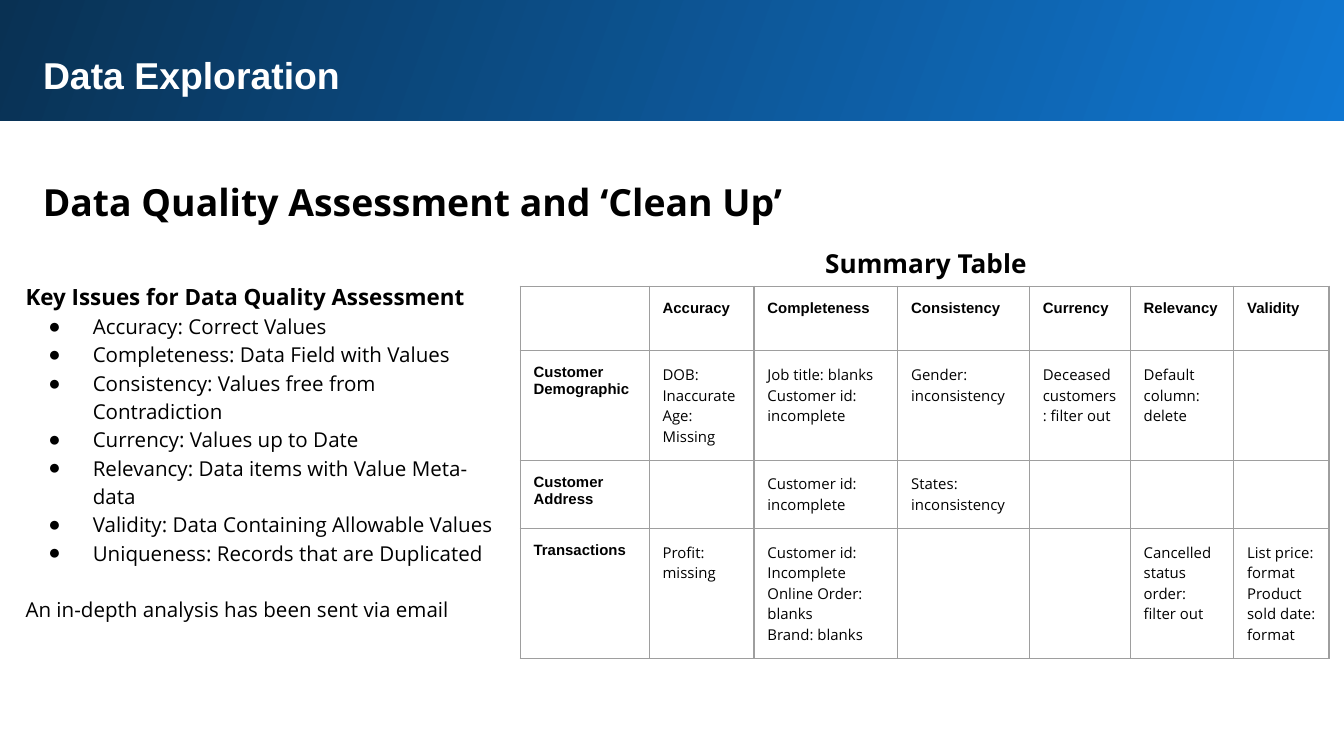
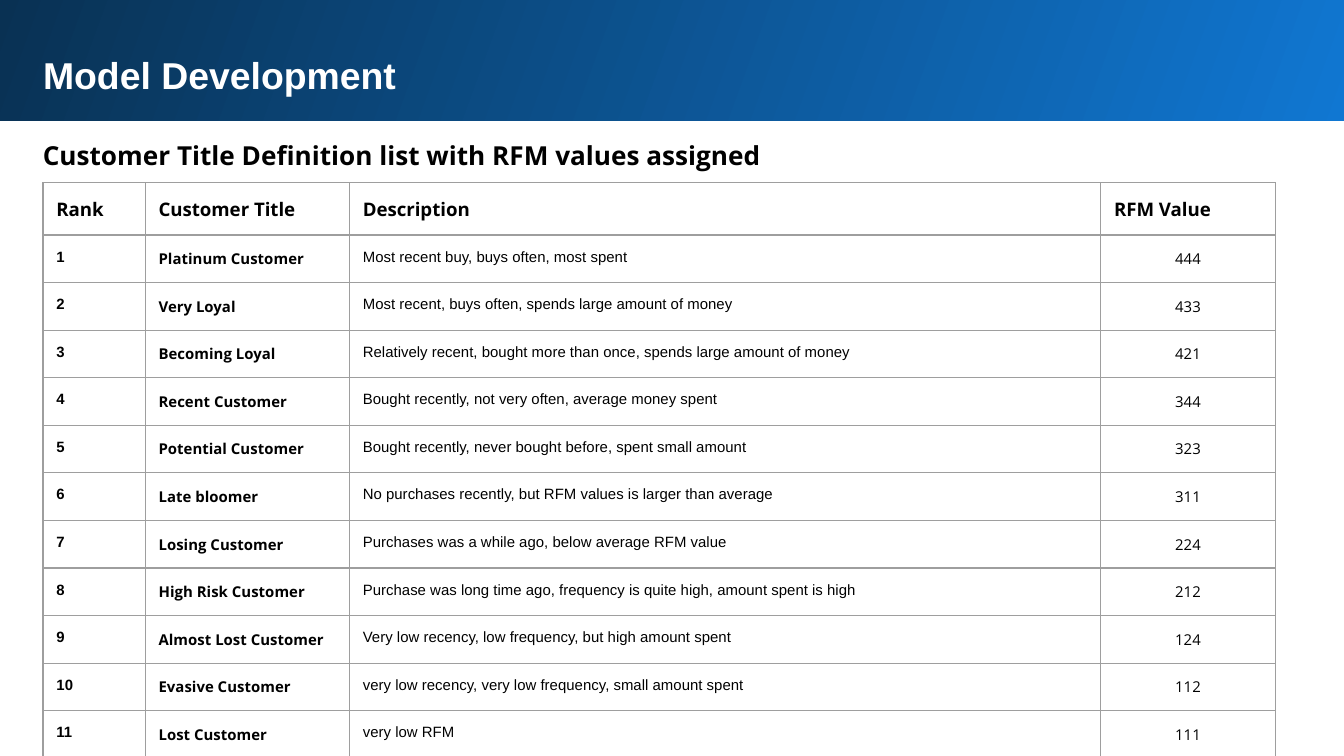
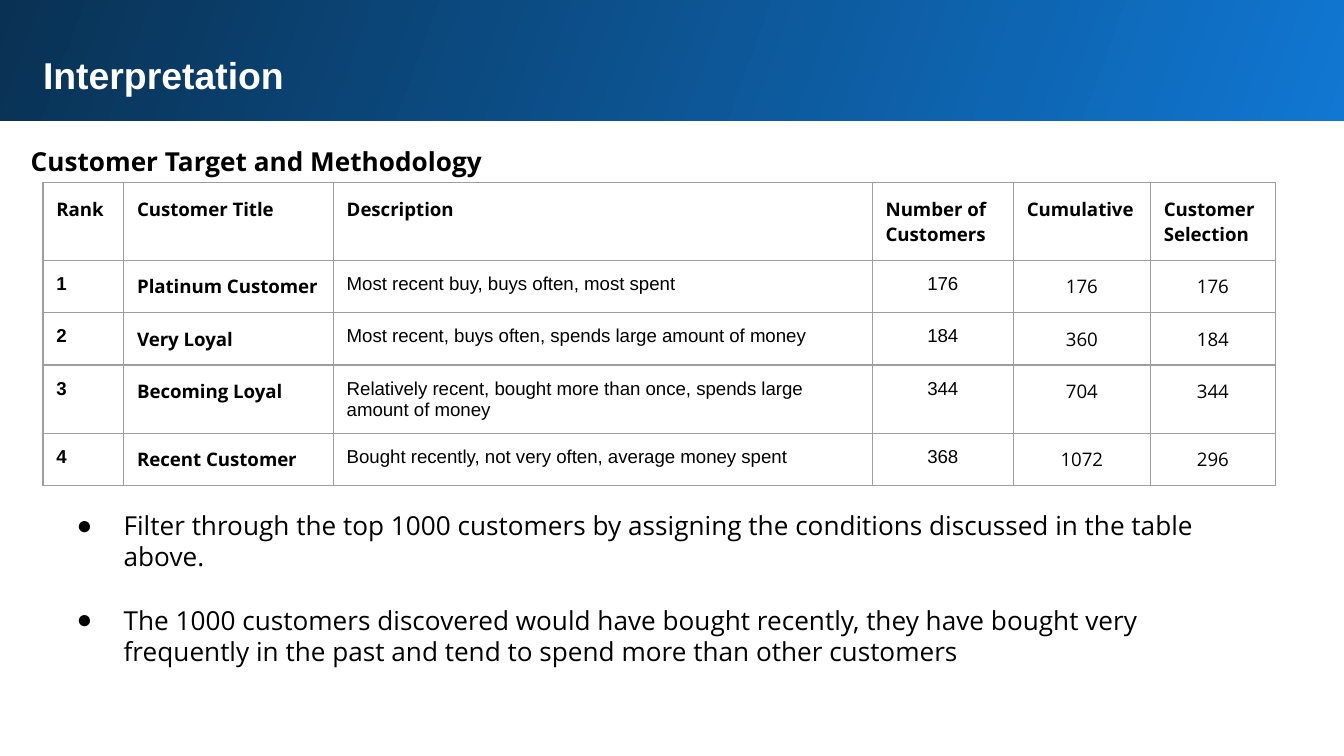
from lxml import etree
from pptx import Presentation
from pptx import util as u
from pptx.dml.color import RGBColor
from pptx.enum import shapes, text
from pptx.oxml import ns

COLORS = {"light": "1077D2", "dark": "093153", "white": "FFFFFF", "black": "000000", "grid": "9E9E9E"}
SANS, OPEN = "Arial", "Open Sans"
CENTER = text.PP_ALIGN.CENTER

ISSUES_HEAD = "Key Issues for Data Quality Assessment"
ISSUES = [
    "Accuracy: Correct Values",
    "Completeness: Data Field with Values",
    "Consistency: Values free from Contradiction",
    "Currency: Values up to Date",
    "Relevancy: Data items with Value Meta-data",
    "Validity: Data Containing Allowable Values",
    "Uniqueness: Records that are Duplicated",
]
ISSUES_NOTE = "An in-depth analysis has been sent via email"
SUMMARY = [
    ("", "Accuracy", "Completeness", "Consistency", "Currency", "Relevancy", "Validity"),
    ("Customer Demographic", "DOB: Inaccurate\nAge:\nMissing", "Job title: blanks\nCustomer id:\nincomplete",
     "Gender: inconsistency", "Deceased customers: filter out", "Default column: delete", ""),
    ("Customer Address", "", "Customer id:\nincomplete", "States:\ninconsistency", "", "", ""),
    ("Transactions", "Profit:\nmissing", "Customer id:\nIncomplete\nOnline Order:\nblanks\nBrand: blanks", "", "",
     "Cancelled status order: filter out", "List price: format\nProduct sold date: format"),
]
SEGMENTS = [
    ("Platinum Customer", "Most recent buy, buys often, most spent", 444),
    ("Very Loyal", "Most recent, buys often, spends large amount of money", 433),
    ("Becoming Loyal", "Relatively recent, bought more than once, spends large amount of money", 421),
    ("Recent Customer", "Bought recently, not very often, average money spent", 344),
    ("Potential Customer", "Bought recently, never bought before, spent small amount", 323),
    ("Late bloomer", "No purchases recently, but RFM values is larger than average", 311),
    ("Losing Customer", "Purchases was a while ago, below average RFM value", 224),
    ("High Risk Customer", "Purchase was long time ago, frequency is quite high, amount spent is high", 212),
    ("Almost Lost Customer", "Very low recency, low frequency, but high amount spent", 124),
    ("Evasive Customer", "very low recency, very low frequency, small amount spent", 112),
    ("Lost Customer", "very low RFM", 111),
]
SEGMENT_HEAD = ("Rank", "Customer Title", "Description")
TARGETS = [(176, 176, 176), (184, 360, 184), (344, 704, 344), (368, 1072, 296)]
TARGET_HEAD = ("Number of Customers", "Cumulative", "Customer Selection")
METHOD = [
    "Filter through the top 1000 customers by assigning the conditions discussed in the table above.",
    "The 1000 customers discovered would have bought recently, they have bought very frequently in the past "
    "and tend to spend more than other customers",
]


def rgb(name):
    return RGBColor.from_string(COLORS[name])


def write(tf, content, size=10, font=OPEN, color="black", bold=False, align=None, spacing=None,
          before=0, hang=None):
    for line in str(content).split("\n"):
        p = tf.paragraphs[0]
        if p.runs:
            p = tf.add_paragraph()
        p.alignment = align or text.PP_ALIGN.LEFT
        p.line_spacing = spacing
        p.space_before = u.Pt(before)
        set_bullet(p, hang)
        r = p.add_run()
        r.text = line
        r.font.size, r.font.name, r.font.bold = u.Pt(size), font, bold
        r.font.color.rgb = rgb(color)


def set_bullet(p, hang):
    pPr = p._p.get_or_add_pPr()
    pPr.set("marL", str(u.Inches(0.5) if hang else 0))
    pPr.set("indent", str(-u.Inches(hang) if hang else 0))
    if not hang:
        etree.SubElement(pPr, ns.qn("a:buNone"))
        return
    clr = etree.SubElement(pPr, ns.qn("a:buClr"))
    etree.SubElement(clr, ns.qn("a:srgbClr")).set("val", COLORS["black"])
    etree.SubElement(pPr, ns.qn("a:buFont")).set("typeface", SANS)
    etree.SubElement(pPr, ns.qn("a:buChar")).set("char", "●")


def prepare(sp, box, anchor=text.MSO_ANCHOR.TOP):
    sp.left, sp.top, sp.width, sp.height = map(u.Inches, box)
    tf = sp.text_frame
    tf.word_wrap, tf.auto_size, tf.vertical_anchor = True, text.MSO_AUTO_SIZE.NONE, anchor
    tf.margin_left = tf.margin_right = tf.margin_top = tf.margin_bottom = u.Inches(0.1)
    return tf


def add_text(s, content, box, anchor=text.MSO_ANCHOR.TOP, **fmt):
    write(prepare(s.shapes.add_textbox(0, 0, 0, 0), box, anchor), content, bold=True, **fmt)


def add_slide(prs, title, layout, title_height=0.51):
    s = prs.slides.add_slide(prs.slide_layouts.get_by_name(layout))
    band = s.shapes.add_shape(shapes.MSO_SHAPE.RECTANGLE, *map(u.Inches, (-0.02, -0.02, 10.05, 0.92)))
    band.shadow.inherit = False
    band.line.fill.background()
    band.fill.gradient()
    band.fill.gradient_angle = 160
    for stop, name in zip(band.fill.gradient_stops, ("light", "dark")):
        stop.color.rgb = rgb(name)
    s.shapes._spTree.insert(2, band._element)
    write(prepare(s.shapes.title, (0.22, 0.29, 9.37, title_height)), title,
          size=20, font=SANS, color="white", bold=True)
    return s


def set_borders(cell):
    tcPr = cell._tc.get_or_add_tcPr()
    for i, side in enumerate(("lnL", "lnR", "lnT", "lnB")):
        ln = etree.Element(ns.qn("a:" + side), w=str(u.Pt(0.75)))
        fill = etree.SubElement(ln, ns.qn("a:solidFill"))
        etree.SubElement(fill, ns.qn("a:srgbClr")).set("val", COLORS["grid"])
        tcPr.insert(i, ln)


def set_empty(cell):
    end = etree.SubElement(cell.text_frame.paragraphs[0]._p, ns.qn("a:endParaRPr"), sz="1800")
    etree.SubElement(end, ns.qn("a:latin")).set("typeface", SANS)


def add_table(s, rows, left, top, widths, heights, head, columns):
    frame = s.shapes.add_table(len(rows), len(widths), *map(u.Inches, (left, top, sum(widths), sum(heights))))
    table = frame.table
    table.first_row = table.horz_banding = False
    for col, w in zip(table.columns, widths):
        col.width = u.Inches(w)
    for i, (row, h) in enumerate(zip(rows, heights)):
        table.rows[i].height = u.Inches(h)
        for j, value in enumerate(row):
            cell = table.cell(i, j)
            cell.margin_left = cell.margin_right = cell.margin_top = cell.margin_bottom = u.Inches(0.1)
            cell.fill.background()
            set_borders(cell)
            if value == "":
                set_empty(cell)
            else:
                write(cell.text_frame, value, **(columns[j] if i else head))


def exploration(prs):
    s = add_slide(prs, "Data Exploration", "Title and Content")
    add_text(s, "Data Quality Assessment and ‘Clean Up’", (0.22, 1.18, 9.37, 0.51), size=20, spacing=1.15)
    tf = prepare(s.placeholders[1], (0.09, 1.98, 3.78, 3.4))
    write(tf, ISSUES_HEAD, size=12, bold=True, spacing=1.15)
    write(tf, "\n".join(ISSUES), size=11, spacing=1.15, hang=0.33)
    write(tf, ISSUES_NOTE, size=11, spacing=1.15, before=15)
    add_text(s, "Summary Table", (4.81, 1.7, 4.16, 0.51), text.MSO_ANCHOR.MIDDLE, size=14, align=CENTER)
    label = dict(size=8, font=SANS, bold=True)
    add_table(s, SUMMARY, 3.87, 2.13, (0.96, 0.78, 1.07, 0.98, 0.75, 0.77, 0.71), (0.33, 0.73, 0.47, 0.83),
              label, [label] + [dict(size=8)] * 6)


def segment_columns(size):
    return [dict(size=size, font=SANS, bold=True), dict(size=size, bold=True), dict(size=size, font=SANS)]


def model(prs):
    s = add_slide(prs, "Model Development", "Title Only")
    add_text(s, "Customer Title Definition list with RFM values assigned", (0.22, 0.9, 9.37, 0.51),
             size=14, spacing=1.15)
    rows = [SEGMENT_HEAD + ("RFM Value",)] + [(i, *seg) for i, seg in enumerate(SEGMENTS, 1)]
    add_table(s, rows, 0.32, 1.36, (0.76, 1.52, 5.59, 1.3), [0.33, 0.26] + [0.32] * 9 + [0.11],
              dict(bold=True), segment_columns(8) + [dict(size=8, align=CENTER)])


def interpretation(prs):
    s = add_slide(prs, "Interpretation", "Title and Content", 0.83)
    add_text(s, "Customer Target and Methodology", (0.13, 0.95, 9.37, 0.48), size=14, spacing=1.15)
    rows = [SEGMENT_HEAD + TARGET_HEAD]
    rows += [(i, *seg[:2], *counts) for i, (seg, counts) in enumerate(zip(SEGMENTS, TARGETS), 1)]
    count = dict(align=CENTER)
    add_table(s, rows, 0.32, 1.36, (0.6, 1.56, 4.01, 1.05, 1.02, 0.93), [0.47, 0.26] + [0.32] * 3,
              dict(bold=True), segment_columns(10) + [dict(count, font=SANS), count, count])
    tf = prepare(s.placeholders[1], (0.32, 3.69, 9.17, 1.38))
    for i, line in enumerate(METHOD):
        write(tf, line, size=14, hang=0.35, before=17 * i)


def main():
    prs = Presentation()
    prs.slide_width = u.Inches(10)
    prs.slide_height = prs.slide_width * 9 // 16
    exploration(prs)
    model(prs)
    interpretation(prs)
    prs.save("out.pptx")


if __name__ == "__main__":
    main()
